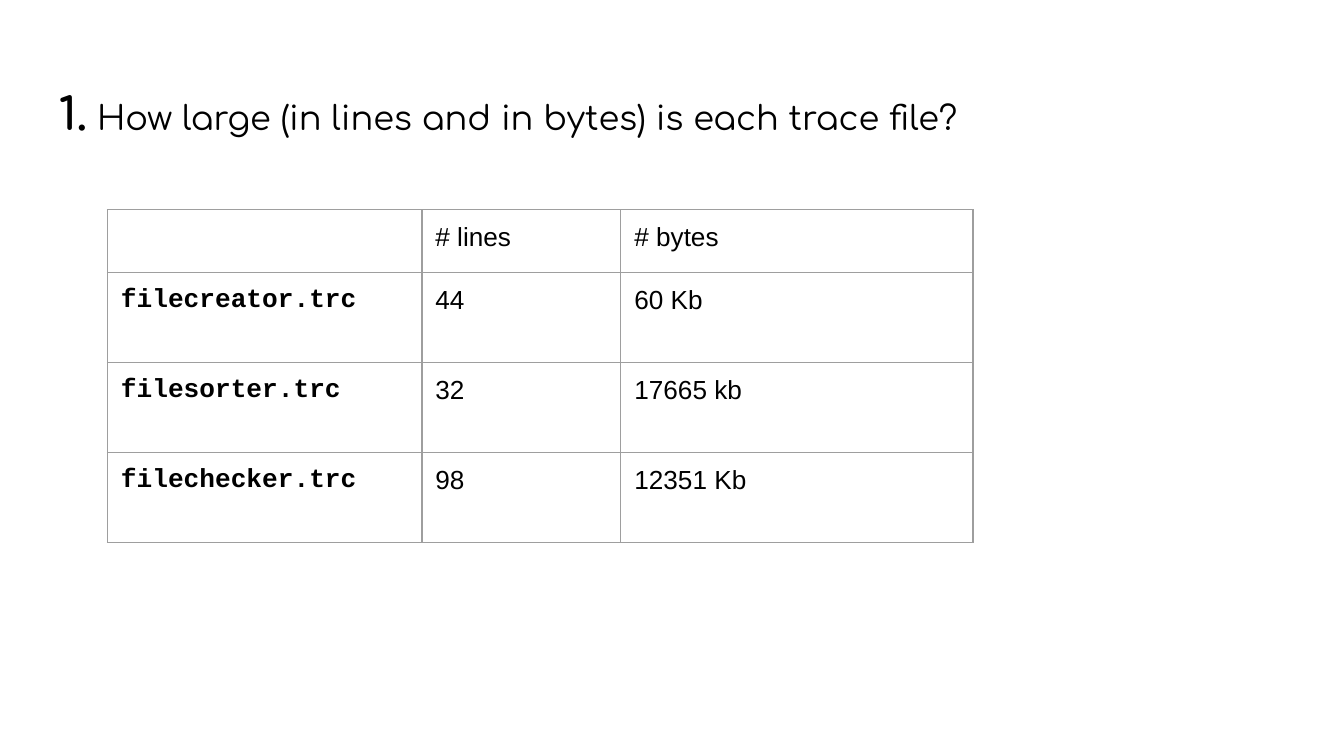
from lxml.etree import SubElement
from pptx import Presentation
from pptx.dml.color import RGBColor
from pptx.oxml.ns import qn
from pptx.util import Inches, Pt

COLORS = {"text": "000000", "border": "9E9E9E"}
QUESTION = [("1.", 24, True),
            (" How large (in lines and in bytes) is each trace file?", 18, False)]
ROWS = [("", "# lines", "# bytes"),
        ("filecreator.trc", "44", "60 Kb"),
        ("filesorter.trc", "32", "17665 kb"),
        ("filechecker.trc", "98", "12351 Kb")]
COL_WIDTHS = (2.34, 1.48, 2.62)
ROW_HEIGHTS = (0.47, 0.67, 0.67, 0.67)
TABLE_LEFT, TABLE_TOP = 0.8, 1.56
PAD = Inches(0.1)


def add_run(p, text, font="Arial", size=14, bold=False):
    """Append a formatted run to a paragraph."""
    r = p.add_run()
    r.text = text
    r.font.name, r.font.size, r.font.bold = font, Pt(size), bold
    r.font.color.rgb = RGBColor.from_string(COLORS["text"])


def pad(box):
    """Give a cell or text frame equal margins on all sides."""
    box.margin_left = box.margin_right = box.margin_top = box.margin_bottom = PAD


def set_borders(cell):
    """Draw a thin line on all four sides of a cell, with no fill."""
    tc_pr = cell._tc.get_or_add_tcPr()
    for side in ("a:lnL", "a:lnR", "a:lnT", "a:lnB"):
        ln = SubElement(tc_pr, qn(side), w=str(Pt(0.75)))
        fill = SubElement(ln, qn("a:solidFill"))
        SubElement(fill, qn("a:srgbClr"), val=COLORS["border"])
    cell.fill.background()


def add_question(slide):
    """Add the numbered question at the top."""
    sp = slide.shapes.add_textbox(Inches(0.34), Inches(0.48), Inches(9.32), Inches(4.8))
    tf = sp.text_frame
    tf.word_wrap = True
    pad(tf)
    p = tf.paragraphs[0]
    p.line_spacing = 1.15
    for text, size, bold in QUESTION:
        add_run(p, text, font="Comfortaa", size=size, bold=bold)


def add_trace_table(slide):
    """Add the table of trace file sizes."""
    table = slide.shapes.add_table(
        len(ROWS), len(COL_WIDTHS), Inches(TABLE_LEFT), Inches(TABLE_TOP),
        Inches(sum(COL_WIDTHS)), Inches(sum(ROW_HEIGHTS))).table
    table.first_row = table.horz_banding = False
    for column, width in zip(table.columns, COL_WIDTHS):
        column.width = Inches(width)
    for i, (values, height) in enumerate(zip(ROWS, ROW_HEIGHTS)):
        table.rows[i].height = Inches(height)
        for j, value in enumerate(values):
            cell = table.cell(i, j)
            pad(cell)
            set_borders(cell)
            p = cell.text_frame.paragraphs[0]
            p.font.size = Pt(14)
            if value:
                is_name = j == 0
                add_run(p, value, font="Courier New" if is_name else "Arial", bold=is_name)


prs = Presentation()
prs.slide_width = Inches(10)
prs.slide_height = prs.slide_width * 9 // 16
slide = prs.slides.add_slide(prs.slide_layouts[6])
add_question(slide)
add_trace_table(slide)
prs.save("out.pptx")
